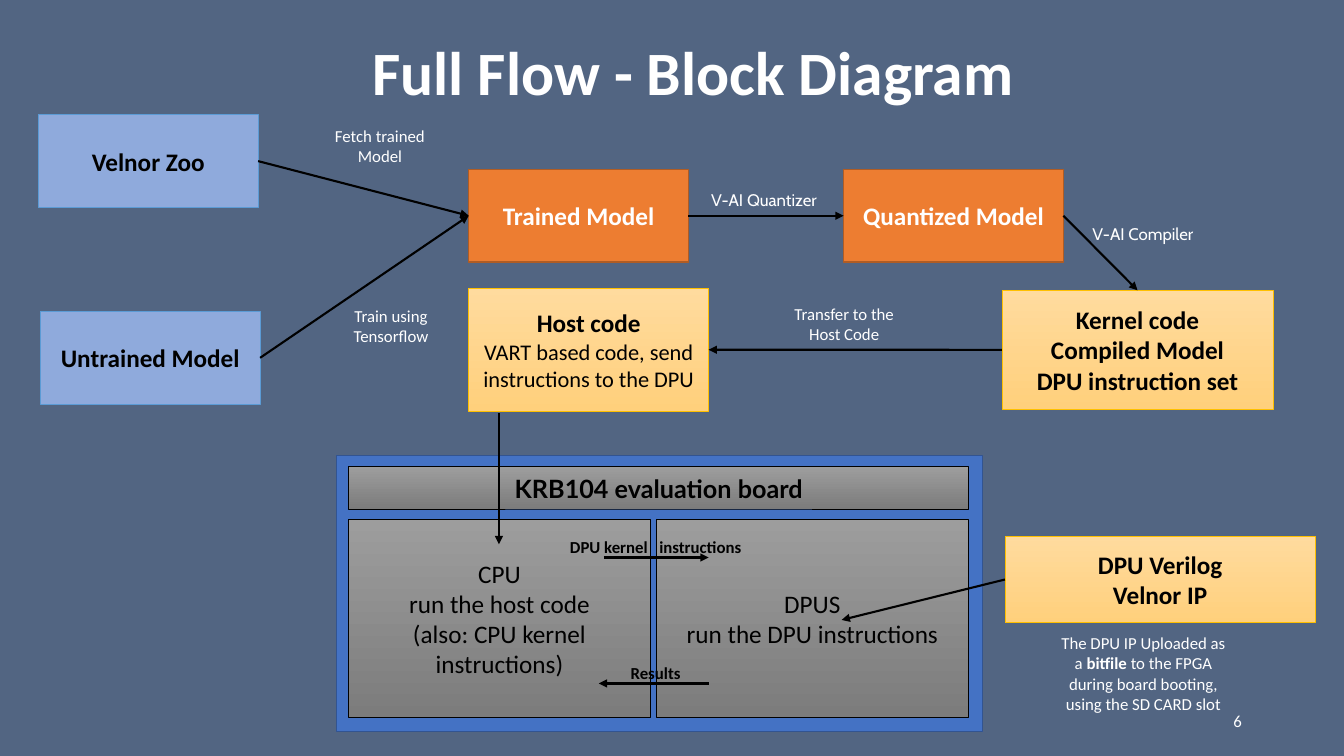
from pptx import Presentation
from pptx.dml.color import RGBColor
from pptx.enum.shapes import MSO_CONNECTOR, MSO_SHAPE
from pptx.enum.text import MSO_ANCHOR, PP_ALIGN
from pptx.oxml.ns import qn
from pptx.util import Pt
from lxml import etree

RECT = MSO_SHAPE.RECTANGLE
LINE = MSO_CONNECTOR.STRAIGHT
MID = MSO_ANCHOR.MIDDLE
CENTER, RIGHT = PP_ALIGN.CENTER, PP_ALIGN.RIGHT
TOP, LEFT, EAST = 0, 1, 3
BLACK, WHITE = "000000", "FFFFFF"
BLUE = (["8FAADC"], "5B9BD5", 0.5)
ORANGE = (["ED7D31"], "AF5C24", 1)
GOLD = (["FFDB9E", "FFD07C"], "FFC000", 0.5)
GRAY = (["9D9D9D", "7C7C7C"], BLACK, 0.5)
NAVY = (["4472C4"], "325491", 1)


def rgb(code):
    """Turn a hex string into a colour."""
    return RGBColor.from_string(code)


def place(box, x, y, w, h):
    """Return lengths for a part offset from the corner of its box."""
    return Pt(box[0] + x), Pt(box[1] + y), Pt(w), Pt(h)


def style(par, size, color, bold=False, font="Calibri"):
    """Format every run of a paragraph."""
    for run in par.runs:
        run.font.size = Pt(size)
        run.font.bold = bold
        run.font.name = font
        run.font.color.rgb = rgb(color)


def write(shape, text, size, color, bold=False, font="Calibri", align=CENTER):
    """Fill a shape with middle-anchored text."""
    frame = shape.text_frame
    frame.word_wrap = True
    frame.vertical_anchor = MID
    frame.text = text
    for par in frame.paragraphs:
        par.alignment = align
        style(par, size, color, bold, font)
    return frame


def block(slide, spot, look, text="", color=BLACK, bold=True, font="Calibri"):
    """Add a filled rectangle with its caption."""
    fills, edge, width = look
    shape = slide.shapes.add_shape(RECT, *spot)
    shape.shadow.inherit = False
    if len(fills) > 1:
        shape.fill.gradient()
        shape.fill.gradient_angle = 270
        for stop, code in zip(shape.fill.gradient_stops, fills):
            stop.color.rgb = rgb(code)
    else:
        shape.fill.solid()
        shape.fill.fore_color.rgb = rgb(fills[0])
    shape.line.color.rgb = rgb(edge)
    shape.line.width = Pt(width)
    if text:
        write(shape, text, 18, color, bold, font)
    return shape


def label(slide, spot, text, size=12, color=WHITE, **kind):
    """Add a text box and return its frame."""
    return write(slide.shapes.add_textbox(*spot), text, size, color, **kind)


def arrow(slide, start=(0, 0), end=(0, 0), tail=None, head=None):
    """Draw an arrow between points, joined to shapes where given."""
    ends = [Pt(n) for n in (*start, *end)]
    line = slide.shapes.add_connector(LINE, *ends)
    if tail:
        line.begin_connect(*tail)
    if head:
        line.end_connect(*head)
    line.line.color.rgb = rgb(BLACK)
    line.line.width = Pt(1.5)
    props = line.line._get_or_add_ln()
    etree.SubElement(props, qn("a:tailEnd"), type="triangle")
    etree.SubElement(line._element.spPr, qn("a:effectLst"))


def flow(slide, box):
    """Draw the model pipeline and return the host code block."""
    size = (157, 66.2)
    zoo = block(slide, place(box, 0.4, 0, *size), BLUE, "Velnor Zoo")
    raw = block(slide, place(box, 1.8, 140.5, *size), BLUE, "Untrained Model")
    trained = block(slide, place(box, 307.8, 39, *size), ORANGE,
                    "Trained Model", WHITE)
    quant = block(slide, place(box, 575.6, 39, *size), ORANGE,
                  "Quantized Model", WHITE)
    host = block(slide, place(box, 307.8, 123.9, 171.4, 87.8), GOLD,
                 "Host code\nVART based code, send instructions to the DPU")
    style(host.text_frame.paragraphs[1], 16, BLACK)
    kernel = block(slide, place(box, 688.7, 125.4, 193.7, 85), GOLD,
                   "Kernel code\nCompiled Model\nDPU instruction set")
    for tail, head in (((zoo, EAST), (trained, LEFT)),
                       ((raw, EAST), (trained, LEFT)),
                       ((trained, EAST), (quant, LEFT)),
                       ((quant, EAST), (kernel, TOP)),
                       ((kernel, LEFT), (host, EAST))):
        arrow(slide, tail=tail, head=head)
    for x, y, text, font in (
            (167.4, -11.4, "Fetch trained\nModel", "Calibri"),
            (175.3, 116.7, "Train using\nTensorflow", "Calibri"),
            (441.7, 26.7, "V-AI Quantizer", "Cabin"),
            (712.4, 51.2, "V-AI Compiler", "Cabin"),
            (499, 115.2, "Transfer to the\nHost Code", "Calibri")):
        label(slide, place(box, x, y, 154, 67.7), text, font=font)


def board(slide, box):
    """Draw the evaluation board with its two processors."""
    x, y, w, h = box
    block(slide, place(box, 0, 0, w, h), NAVY)
    block(slide, place(box, 228.2, 45.4, 223.2, 141.8), GRAY,
          "DPUS\nrun the DPU instructions", bold=False)
    block(slide, place(box, 8.6, 45.4, 215.3, 141.8), GRAY,
          "CPU\nrun the host code\n(also: CPU kernel instructions)", bold=False)
    block(slide, place(box, 8.6, 8, 442.8, 30.2), GRAY,
          "KRB104 evaluation board", font="Lato")
    arrow(slide, (x + 115.9, y - 30.2), (x + 115.9, y + 63.4))
    arrow(slide, (x + 190.8, y + 72.8), (x + 265.7, y + 72.8))
    arrow(slide, (x + 265.7, y + 162.8), (x + 187.2, y + 162.8))
    frame = label(slide, place(box, 151.9, 41.1, 151.9, 47.5),
                  "DPU kernel", color=BLACK, bold=True)
    par = frame.paragraphs[0]
    gap = par.add_run()
    gap.text = " "
    par.add_run().text = "instructions"
    style(par, 12, BLACK, True)
    gap._r.get_or_add_rPr().set("spc", "540")
    label(slide, place(box, 159.8, 131.1, 136, 47.5), "Results",
          color=BLACK, bold=True)


def core(slide, box):
    """Draw the hardware block, its arrow to the board and its note."""
    x, y, w, h = box
    unit = block(slide, place(box, 0, 0, w, h), GOLD,
                 "DPU Verilog\nVelnor IP")
    arrow(slide, end=(x - 116.6, y + 59.8), tail=(unit, LEFT))
    frame = label(slide, place(box, 31, 74.2, 136, 47.5),
                  "The DPU IP Uploaded as a ")
    par = frame.paragraphs[0]
    word = par.add_run()
    word.text = "bitfile"
    rest = " to the FPGA during board booting, using the SD CARD slot"
    par.add_run().text = rest
    style(par, 12, WHITE)
    word.font.bold = True


def main():
    """Build and save the slide."""
    deck = Presentation()
    deck.slide_width, deck.slide_height = Pt(960), Pt(540)
    slide = deck.slides.add_slide(deck.slide_layouts[6])
    slide.background.fill.solid()
    slide.background.fill.fore_color.rgb = rgb("526582")
    page = (0, 0)
    label(slide, place(page, 81.4, -1.4, 828, 104.4),
          "Full Flow - Block Diagram", 44, bold=True)
    flow(slide, (27, 82, 882.4, 211.7))
    board(slide, (240.5, 325.4, 461.5, 197.3))
    core(slide, (717.8, 383, 221.8, 61.9))
    label(slide, place(page, 678.2, 500.4, 216, 28.8), "6", align=RIGHT)
    deck.save("out.pptx")


if __name__ == "__main__":
    main()
